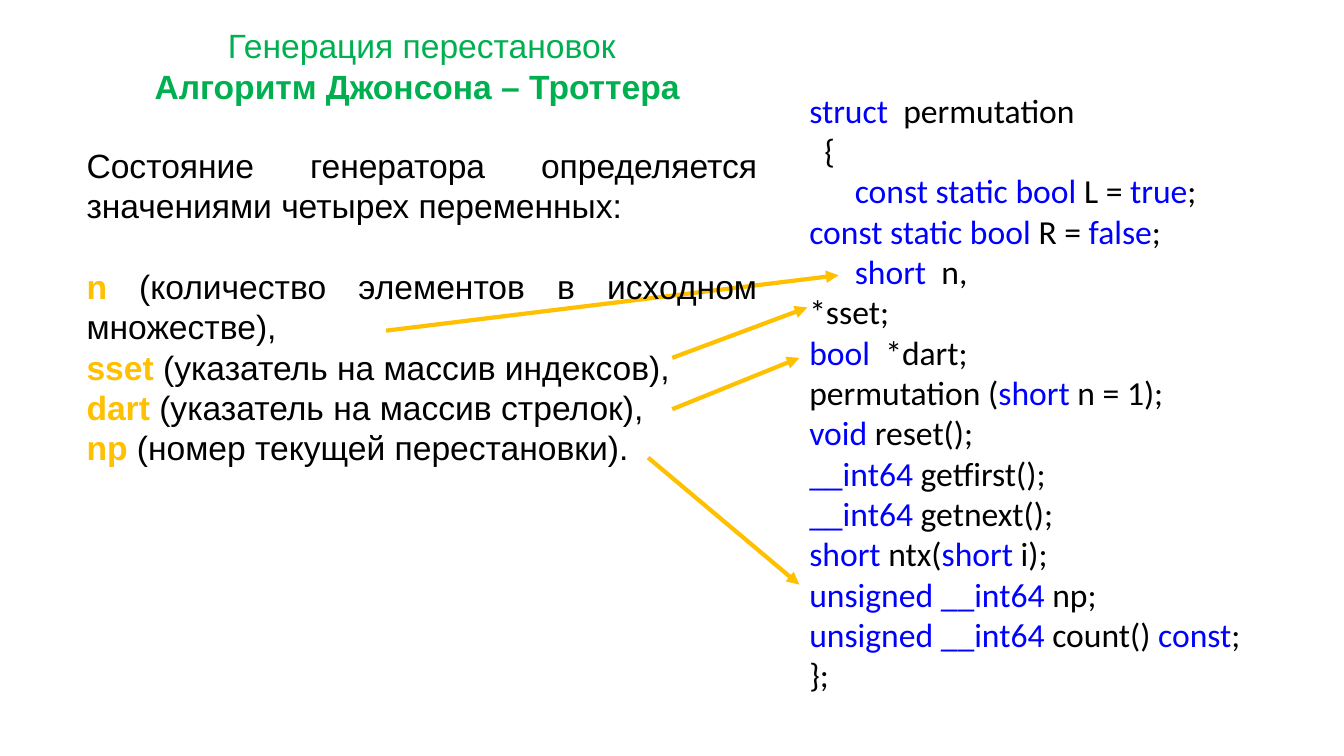
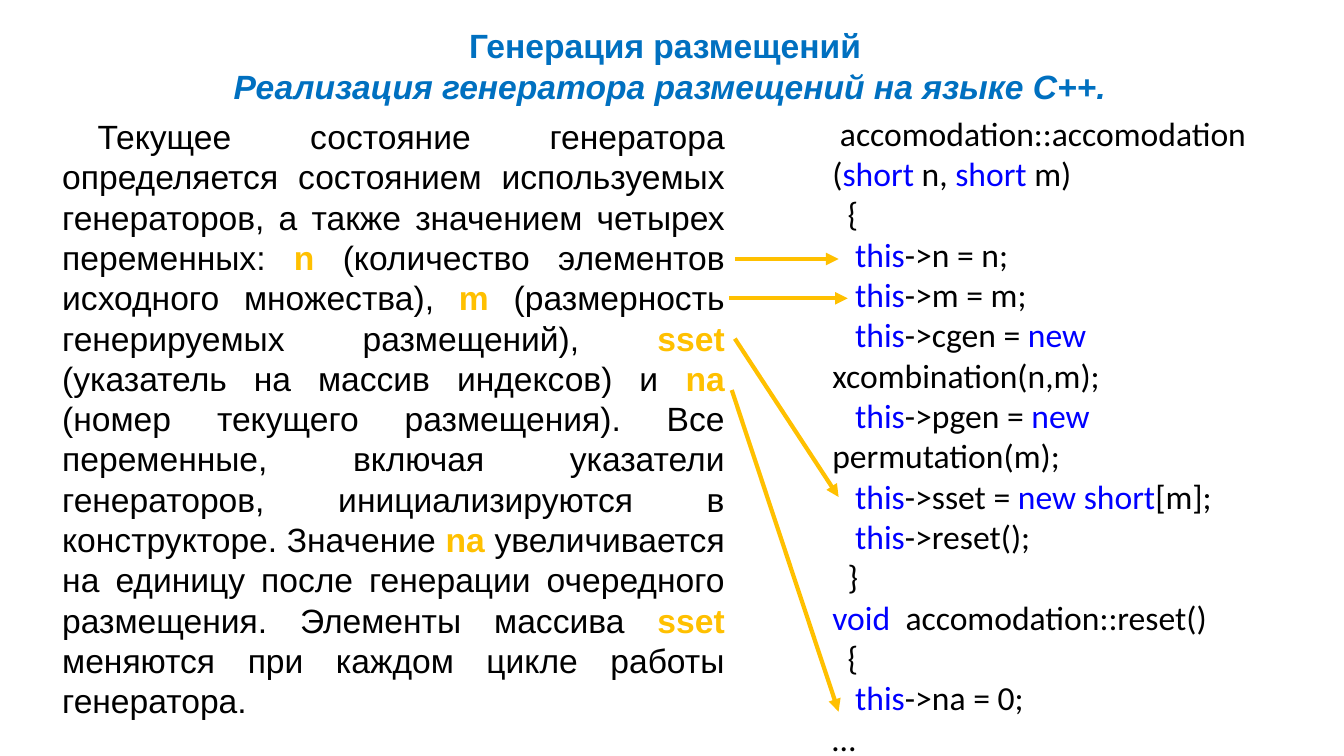
from pptx import Presentation
from pptx.dml.color import RGBColor
from pptx.enum.shapes import MSO_CONNECTOR as Connector
from pptx.enum.text import PP_ALIGN as Align
from pptx.oxml.ns import qn
from pptx.util import Pt
from lxml.etree import SubElement

BLACK, GOLD, GREEN = "000000", "FFC000", "00B050"
TITLE_BLUE, CODE_BLUE = "0070C0", "0000FF"


def paint(color_format, value):
    color_format.rgb = RGBColor.from_string(value)


class Lecture:
    """Shared style and the current page; lengths are in points."""

    text_font, code_font = "Arial", "Calibri"
    size, line_pitch = 24, 28.8
    space_width = 5.42  # one space of the code font
    title_top, title_height = 14.4, 65.5

    def __init__(self):
        self.deck = Presentation()
        self.deck.slide_width, self.deck.slide_height = Pt(960), Pt(540)
        self.page = None

    def new_page(self):
        self.page = self.deck.slides.add_slide(self.deck.slide_layouts[6])

    def add_paragraphs(self, left, top, width, height, lines, font, align):
        """Yield each line with its empty, styled paragraph."""
        box = self.page.shapes.add_textbox(Pt(left), Pt(top), Pt(width), Pt(height))
        frame = box.text_frame
        frame.word_wrap = True
        for number, line in enumerate(lines):
            para = frame.add_paragraph() if number else frame.paragraphs[0]
            para.alignment = align
            para.line_spacing = Pt(self.line_pitch)
            para.font.name, para.font.size = font, Pt(self.size)
            yield line, para

    def indent(self, para, amount):
        para._p.get_or_add_pPr().set("indent", str(Pt(amount)))

    def fill(self, para, line, accent, bold=False):
        """Write a line; parts between bars take the accent colour."""
        for number, part in enumerate(line.split("|")):
            if part:
                span = para.add_run()
                span.text = part
                marked = number % 2 == 1
                paint(span.font.color, accent if marked else BLACK)
                span.font.bold = bold and marked

    def title(self, left, width, color, lines):
        """Each line is (text, bold, italic)."""
        place = left, self.title_top, width, self.title_height
        for (text, bold, italic), para in self.add_paragraphs(
                *place, lines, self.text_font, Align.CENTER):
            para.text = text
            para.font.bold, para.font.italic = bold, italic
            paint(para.font.color, color)

    def body(self, left, top, width, height, lines, first_indent=0, first_gap=0):
        """Justified text; first_gap is the space after the first paragraph."""
        for line, para in self.add_paragraphs(
                left, top, width, height, lines, self.text_font, Align.JUSTIFY):
            self.fill(para, line, GOLD, bold=True)
            self.indent(para, first_indent)
            para.space_after = Pt(first_gap if line == lines[0] else 0)

    def code(self, left, top, width, height, listing):
        """Leading spaces of a code line become its first-line indent."""
        for line, para in self.add_paragraphs(
                left, top, width, height, listing, self.code_font, Align.LEFT):
            text = line.lstrip(" ")
            self.fill(para, text, CODE_BLUE)
            self.indent(para, (len(line) - len(text)) * self.space_width)

    def arrow(self, x1, y1, x2, y2):
        line = self.page.shapes.add_connector(
            Connector.STRAIGHT, Pt(x1), Pt(y1), Pt(x2), Pt(y2))
        line.line.width = Pt(3)
        paint(line.line.color, GOLD)
        SubElement(line.line._get_or_add_ln(), qn("a:tailEnd"), type="triangle")
        SubElement(line._element.spPr, qn("a:effectLst"))

    def arrows(self, *ends):
        for end in ends:
            self.arrow(*end)


def permutations(lecture):
    lecture.new_page()
    # The first arrow runs behind the text
    lecture.arrow(275.8, 236.2, 599, 196.6)
    lecture.body(54.7, 100.1, 493.2, 269.3, [
        "Состояние генератора определяется значениями четырех переменных:",
        "|n| (количество элементов в исходном множестве),",
        "|sset| (указатель на массив индексов),",
        "|dart| (указатель на массив стрелок),",
        "|np| (номер текущей перестановки).",
    ], first_gap=lecture.line_pitch)
    lecture.title(95, 412.6, GREEN, [
        ("Генерация перестановок", False, False),
        ("Алгоритм Джонсона – Троттера ", True, False),
    ])
    lecture.code(571, 60.5, 326.9, 443.5, [
        "|struct|  permutation",
        "  {",
        "      |const static bool| L = |true|;",
        "|const static bool| R = |false|;",
        "      |short|  n,",
        "*sset;",
        "|bool|  *dart;",
        "permutation (|short| n = 1);",
        "|void| reset();",
        "|__int64| getfirst();",
        "|__int64| getnext();",
        "|short| ntx(|short| i);",
        "|unsigned __int64| np;",
        "|unsigned __int64| count() |const|; };",
    ])
    lecture.arrows(
        (480.2, 255.6, 576.7, 219.6),
        (480.2, 292.3, 571, 255.6),
        (463, 326.9, 571, 417.6),
    )


def arrangements(lecture):
    lecture.new_page()
    lecture.body(37.4, 79.2, 487.4, 443.5, [
        "Текущее состояние генератора определяется состоянием используемых "
        "генераторов, а также значением четырех переменных: |n| (количество "
        "элементов исходного множества), |m| (размерность генерируемых "
        "размещений), |sset| (указатель на массив индексов) и |na| (номер "
        "текущего размещения). Все переменные, включая указатели генераторов, "
        "инициализируются в конструкторе. Значение |na| увеличивается на единицу "
        "после генерации очередного размещения. Элементы массива |sset| меняются "
        "при каждом цикле работы генератора.",
    ], first_indent=25.2)
    lecture.title(139.7, 677.5, TITLE_BLUE, [
        ("Генерация размещений ", True, False),
        ("Реализация генератора размещений на языке С++.", True, True),
    ])
    lecture.code(587.5, 77, 345.6, 501.8, [
        " accomodation::accomodation (|short| n, |short| m)",
        "  {",
        "   |this|->n = n;",
        "   |this|->m = m;",
        "   |this|->cgen = |new| xcombination(n,m);",
        "   |this|->pgen = |new| permutation(m);",
        "   |this|->sset = |new short|[m];",
        "   |this|->reset();",
        "  }",
        "|void|  accomodation::reset()",
        "  {",
        "   |this|->na = 0;",
        "…",
    ])
    lecture.arrows(
        (524.9, 185, 599, 185),
        (520.6, 213.1, 605.5, 213.1),
        (524.9, 241.9, 599, 355),
        (522.7, 278.6, 599, 508.3),
    )


def main():
    lecture = Lecture()
    permutations(lecture)
    arrangements(lecture)
    lecture.deck.save("out.pptx")


if __name__ == "__main__":
    main()
